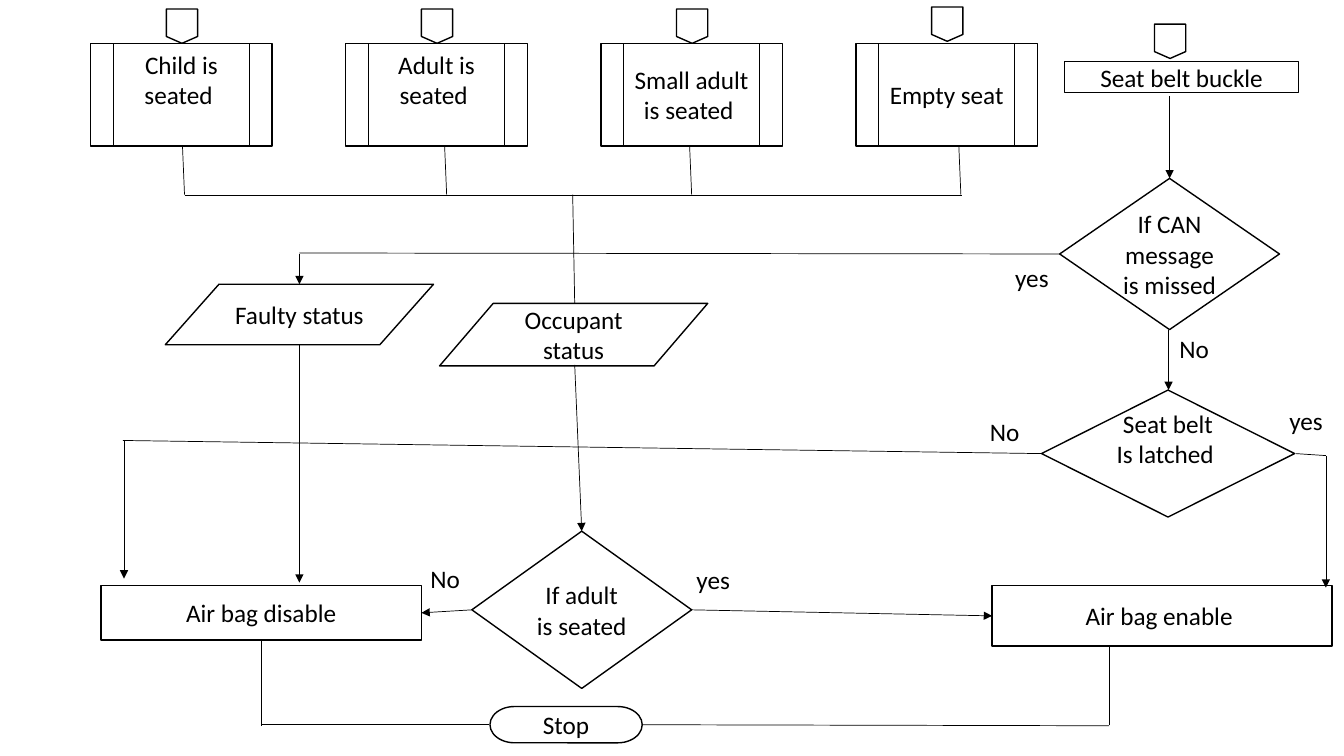
from dataclasses import dataclass

from lxml import etree
from pptx import Presentation
from pptx.dml.color import RGBColor
from pptx.enum import shapes, text
from pptx.oxml import ns
from pptx.slide import Slide
from pptx.text.text import TextFrame
from pptx.util import Inches, Pt

COLORS = {"ink": "000000", "paper": "FFFFFF"}
FONT = "Calibri"
KIND = shapes.MSO_SHAPE
ENTRY = KIND.FLOWCHART_OFFPAGE_CONNECTOR
CHECK = KIND.FLOWCHART_PREDEFINED_PROCESS
STEP = KIND.FLOWCHART_PROCESS
DATA = KIND.FLOWCHART_DATA
CHOICE = KIND.FLOWCHART_DECISION
END = KIND.FLOWCHART_TERMINATOR


@dataclass
class Node:
    kind: shapes.MSO_SHAPE
    left: float
    top: float
    width: float
    height: float
    words: str = ""
    foot: float = 0.05
    side: float = 0.1


@dataclass
class Label:
    left: float
    top: float
    width: float
    words: str
    wrap: bool = True


@dataclass
class Link:
    x1: float
    y1: float
    x2: float
    y2: float
    arrow: bool = False


SEATS = [
    ("Child is seated ", 0.35, 0.09, 1.81),
    ("Adult is seated ", 0.35, 0.09, 4.41),
    ("Small adult is seated ", 0.05, 0.09, 6.84),
    ("Empty seat", 0.05, 0.07, 9.51),
]
PITCH = 2.53

NODES = [
    Node(DATA, 4.36, 3.01, 2.66, 0.62, "Occupant status"),
    Node(DATA, 1.64, 2.82, 2.66, 0.6, "Faulty status"),
    Node(STEP, 9.84, 5.81, 3.37, 0.6, "Air bag enable "),
    Node(END, 4.86, 7.01, 1.51, 0.36, "Stop"),
    Node(CHOICE, 10.33, 3.87, 2.51, 1.26, "Seat belt\nIs latched ", 0.35),
    Node(STEP, 10.56, 0.61, 2.32, 0.31, "Seat belt buckle"),
    Node(ENTRY, 11.45, 0.24, 0.31, 0.34),
    Node(STEP, 1, 5.81, 3.18, 0.54, "Air bag disable"),
    Node(CHOICE, 4.68, 5.27, 2.18, 1.56, "If adult is seated "),
    Node(CHOICE, 10.51, 1.77, 2.18, 1.5, "If CAN message is missed", side=0),
]

LINKS = [
    Link(1.83, 1.94, 9.54, 1.94),
    Link(5.7, 3.01, 5.68, 1.93),
    Link(13.15, 4.52, 12.85, 4.5),
    Link(13.15, 4.52, 13.15, 5.83, True),
    Link(11.6, 0.95, 11.6, 1.77, True),
    Link(2.97, 3.42, 2.97, 5.78, True),
    Link(5.7, 3.62, 5.77, 5.27, True),
    Link(6.86, 6.05, 9.84, 6.11, True),
    Link(4.68, 6.05, 4.18, 6.08, True),
    Link(10.33, 4.5, 1.22, 4.37),
    Link(1.23, 4.37, 1.23, 5.74, True),
    Link(2.59, 6.35, 2.59, 7.2),
    Link(2.59, 7.19, 4.85, 7.19),
    Link(11, 6.41, 11, 7.19),
    Link(11, 7.2, 6.37, 7.19),
    Link(10.51, 2.52, 2.97, 2.51),
    Link(2.97, 2.52, 2.97, 2.82, True),
    Link(11.59, 3.27, 11.59, 3.87, True),
]

LABELS = [
    Label(12.69, 3.97, 0.56, "yes"),
    Label(9.97, 2.55, 0.55, "yes"),
    Label(6.81, 5.55, 0.54, "yes", False),
    Label(4.17, 5.54, 0.5, "No", False),
    Label(9.72, 4.08, 0.53, "No"),
    Label(11.6, 3.26, 0.53, "No"),
]


def color(name: str) -> RGBColor:
    return RGBColor.from_string(COLORS[name])


def write(frame: TextFrame, words: str, align: text.PP_ALIGN) -> None:
    frame.text = words
    for para in frame.paragraphs:
        para.alignment = align
        for run in para.runs:
            run.font.name = FONT
            run.font.size = Pt(18)
            run.font.color.rgb = color("ink")


def draw_node(slide: Slide, node: Node) -> None:
    box = (node.left, node.top, node.width, node.height)
    shape = slide.shapes.add_shape(node.kind, *map(Inches, box))
    shape.shadow.inherit = False
    shape.fill.solid()
    shape.fill.fore_color.rgb = color("paper")
    shape.line.color.rgb = color("ink")
    shape.line.width = Pt(1)
    if node.words:
        frame = shape.text_frame
        frame.word_wrap = True
        frame.vertical_anchor = text.MSO_ANCHOR.MIDDLE
        frame.margin_bottom = Inches(node.foot)
        frame.margin_left = frame.margin_right = Inches(node.side)
        write(frame, node.words, text.PP_ALIGN.CENTER)


def draw_link(slide: Slide, link: Link) -> None:
    ends = (link.x1, link.y1, link.x2, link.y2)
    line = slide.shapes.add_connector(
        shapes.MSO_CONNECTOR.STRAIGHT, *map(Inches, ends)
    )
    line.line.color.rgb = color("ink")
    line.line.width = Pt(0.5)
    if link.arrow:
        stroke = line._element.spPr.find(ns.qn("a:ln"))
        etree.SubElement(stroke, ns.qn("a:tailEnd"), type="triangle")
    etree.SubElement(line._element.spPr, ns.qn("a:effectLst"))


def draw_label(slide: Slide, label: Label) -> None:
    box = (label.left, label.top, label.width, 0.4)
    frame = slide.shapes.add_textbox(*map(Inches, box)).text_frame
    frame.word_wrap = label.wrap
    frame.auto_size = text.MSO_AUTO_SIZE.SHAPE_TO_FIT_TEXT
    write(frame, label.words, text.PP_ALIGN.LEFT)


def main() -> None:
    deck = Presentation()
    deck.slide_width = Inches(13.33)
    deck.slide_height = Inches(7.5)
    slide = deck.slides.add_slide(deck.slide_layouts[6])
    for i, (words, foot, top, stem) in enumerate(SEATS):
        left = 0.9 + i * PITCH
        draw_node(slide, Node(ENTRY, left + 0.75, top, 0.31, 0.34))
        draw_node(slide, Node(CHECK, left, 0.43, 1.8, 1.02, words, foot))
        draw_link(slide, Link(stem, 1.45, stem + 0.02, 1.93))
    for node in NODES:
        draw_node(slide, node)
    for link in LINKS:
        draw_link(slide, link)
    for label in LABELS:
        draw_label(slide, label)
    deck.save("out.pptx")


if __name__ == "__main__":
    main()
